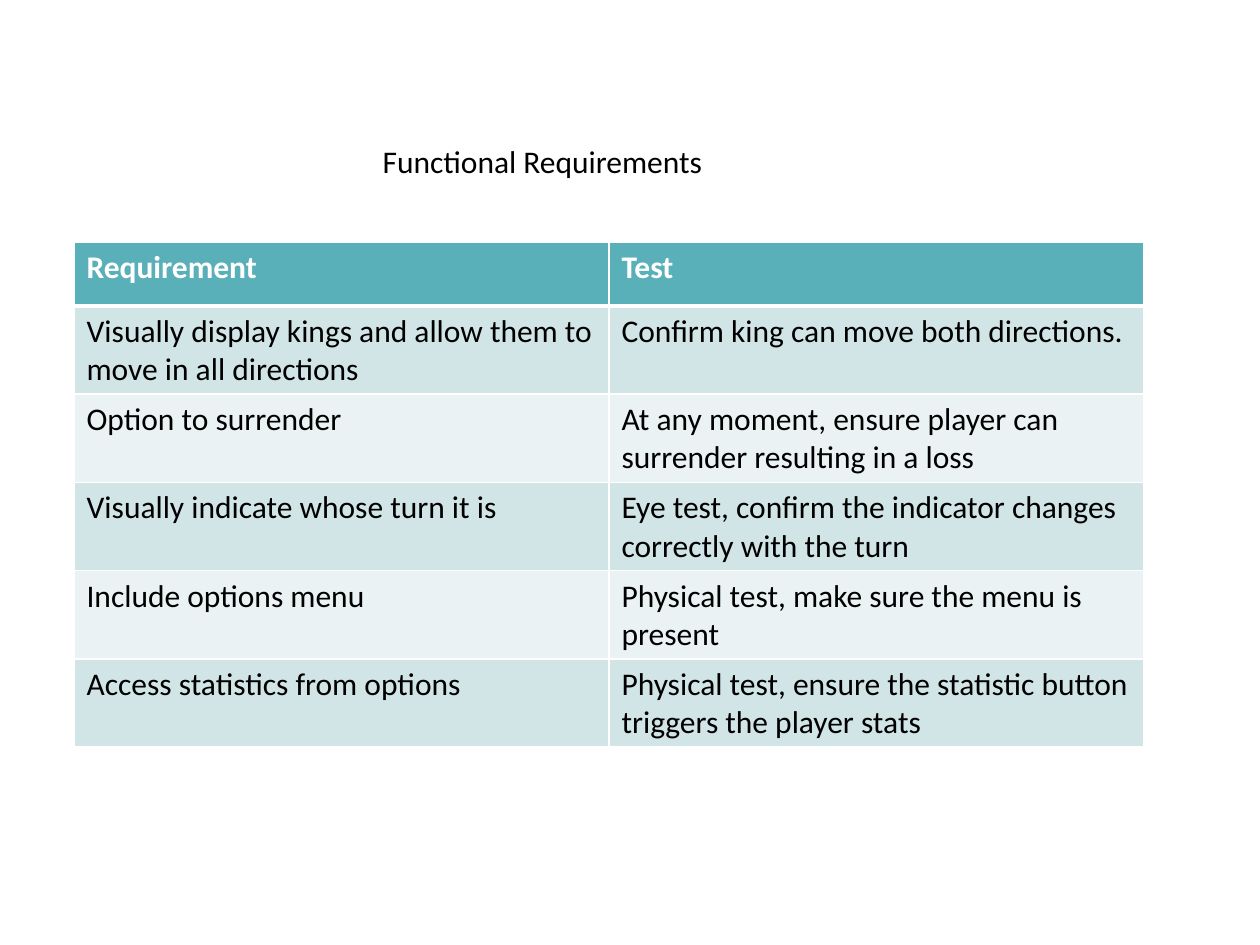
from dataclasses import dataclass

from lxml import etree
from pptx import Presentation
from pptx import util as u
from pptx.dml.color import RGBColor
from pptx.enum import text
from pptx.oxml.ns import qn

TITLE = "Functional Requirements"
HEADINGS = ("Requirement", "Test")
REQUIREMENTS = [
    ("Visually display kings and allow them to move in all directions",
     "Confirm king can move both directions."),
    ("Option to surrender",
     "At any moment, ensure player can surrender resulting in a loss"),
    ("Visually indicate whose turn it is",
     "Eye test, confirm the indicator changes correctly with the turn"),
    ("Include options menu",
     "Physical test, make sure the menu is present"),
    ("Access statistics from options",
     "Physical test, ensure the statistic button triggers the player stats"),
]


@dataclass(frozen=True)
class Theme:
    font: str = "Calibri"
    size: int = 18
    ink: str = "000000"
    heading_ink: str = "FFFFFF"
    heading_fill: str = "59B0B9"
    bands: tuple = ("D1E4E6", "EAF2F3")
    border: str = "FFFFFF"
    thin: int = 1
    thick: int = 3


THEME = Theme()
SLIDE_SIZE = (1260, 945)
TITLE_BOX = (370, 136, 483, 50)
TABLE_LEFT, TABLE_TOP = 74, 242
COLUMN_WIDTH = 535
HEADING_HEIGHT, ROW_HEIGHT = 64, 88


def px(length):
    return u.Emu(length * u.Inches(1) // 126)


def format_text(text_frame, colour, bold=False):
    for paragraph in text_frame.paragraphs:
        paragraph.alignment = text.PP_ALIGN.LEFT
        for run in paragraph.runs:
            run.font.name = THEME.font
            run.font.size = u.Pt(THEME.size)
            run.font.bold = bold
            run.font.color.rgb = RGBColor.from_string(colour)


def add_border(cell, side, width):
    """Draw one side of a cell; side is L, R, T or B."""
    properties = cell._tc.get_or_add_tcPr()
    line = etree.SubElement(properties, qn(f"a:ln{side}"), w=str(u.Pt(width)))
    fill = etree.SubElement(line, qn("a:solidFill"))
    etree.SubElement(fill, qn("a:srgbClr"), val=THEME.border)


def add_title(slide):
    title = slide.shapes.title
    title.left, title.top, title.width, title.height = map(px, TITLE_BOX)
    frame = title.text_frame
    frame.text = TITLE
    frame.word_wrap = True
    frame.auto_size = text.MSO_AUTO_SIZE.SHAPE_TO_FIT_TEXT
    frame.vertical_anchor = text.MSO_ANCHOR.TOP
    format_text(frame, THEME.ink)


def add_requirements_table(slide):
    rows = [HEADINGS, *REQUIREMENTS]
    heights = [HEADING_HEIGHT] + [ROW_HEIGHT] * len(REQUIREMENTS)
    table = slide.shapes.add_table(
        len(rows), len(HEADINGS), px(TABLE_LEFT), px(TABLE_TOP),
        px(COLUMN_WIDTH * len(HEADINGS)), px(sum(heights))).table
    for column in table.columns:
        column.width = px(COLUMN_WIDTH)

    for row_index, (values, height) in enumerate(zip(rows, heights)):
        table.rows[row_index].height = px(height)
        is_heading = row_index == 0
        colour = THEME.heading_ink if is_heading else THEME.ink
        fill = THEME.heading_fill if is_heading else THEME.bands[(row_index - 1) % 2]
        for column_index, value in enumerate(values):
            cell = table.cell(row_index, column_index)
            cell.text_frame.text = value
            format_text(cell.text_frame, colour, bold=is_heading)
            for side in "LRTB":
                under_heading = (row_index, side) in ((0, "B"), (1, "T"))
                add_border(cell, side, THEME.thick if under_heading else THEME.thin)
            cell.fill.solid()
            cell.fill.fore_color.rgb = RGBColor.from_string(fill)


def main():
    presentation = Presentation()
    presentation.slide_width, presentation.slide_height = map(px, SLIDE_SIZE)
    title_only = presentation.slide_layouts.get_by_name("Title Only")
    slide = presentation.slides.add_slide(title_only)
    add_title(slide)
    add_requirements_table(slide)
    presentation.save("out.pptx")


if __name__ == "__main__":
    main()
